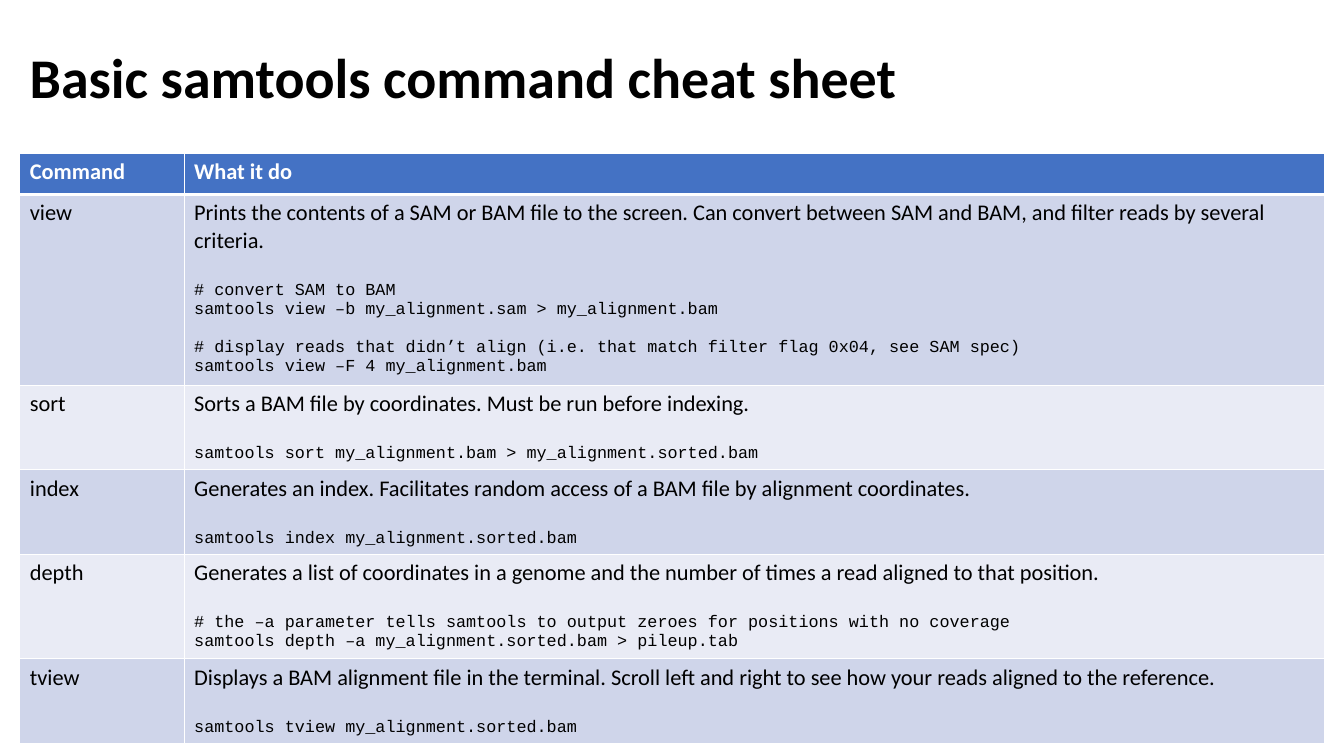
from lxml import etree
from pptx import Presentation
from pptx import util as u
from pptx.dml.color import RGBColor
from pptx.enum import text
from pptx.oxml import ns

THEME = {
    "black": RGBColor.from_string("000000"),
    "white": RGBColor.from_string("FFFFFF"),
    "header": RGBColor.from_string("4472C4"),
    "bands": [RGBColor.from_string("CFD5EA"), RGBColor.from_string("E9EBF5")],
    "body_font": "Calibri",
    "code_font": "Courier New",
    "title_size": 40,
    "body_size": 16,
    "code_size": 12,
    "code_gap": 19.5,
    "block_gap": 13.6,
    "rule": 1,
    "header_rule": 3,
}

COMMANDS = [
    ("view", 4.7,
     "Prints the contents of a SAM or BAM file to the screen. Can convert between "
     "SAM and BAM, and filter reads by several criteria.",
     [["# convert SAM to BAM",
       "samtools view –b my_alignment.sam > my_alignment.bam"],
      ["# display reads that didn’t align (i.e. that match filter flag 0x04, see SAM spec)",
       "samtools view –F 4 my_alignment.bam"]]),
    ("sort", 2.12,
     "Sorts a BAM file by coordinates. Must be run before indexing.",
     [["samtools sort my_alignment.bam > my_alignment.sorted.bam"]]),
    ("index", 2.12,
     "Generates an index. Facilitates random access of a BAM file by alignment coordinates.",
     [["samtools index my_alignment.sorted.bam"]]),
    ("depth", 2.6,
     "Generates a list of coordinates in a genome and the number of times a read "
     "aligned to that position.",
     [["# the –a parameter tells samtools to output zeroes for positions with no coverage",
       "samtools depth –a my_alignment.sorted.bam > pileup.tab"]]),
    ("tview", 2.12,
     "Displays a BAM alignment file in the terminal. Scroll left and right to see how "
     "your reads aligned to the reference.",
     [["samtools tview my_alignment.sorted.bam"]]),
]


def write(paragraph, words, size="body_size", font="body_font", color="black", bold=False):
    run = paragraph.add_run()
    run.text = words
    looks = {"name": THEME[font], "size": u.Pt(THEME[size]), "bold": bold}
    for key, value in looks.items():
        setattr(run.font, key, value)
    run.font.color.rgb = THEME[color]


def dress(cell, fill, top, bottom):
    properties = cell._tc.get_or_add_tcPr()
    sides = {"a:lnL": THEME["rule"], "a:lnR": THEME["rule"], "a:lnT": top, "a:lnB": bottom}
    for side, width in sides.items():
        line = etree.SubElement(properties, ns.qn(side), w=str(u.Pt(width)))
        solid = etree.SubElement(line, ns.qn("a:solidFill"))
        etree.SubElement(solid, ns.qn("a:srgbClr"), val=str(THEME["white"]))
    cell.fill.solid()
    cell.fill.fore_color.rgb = fill


deck = Presentation()
deck.slide_width, deck.slide_height = u.Cm(33.87), u.Cm(19.05)
slide = deck.slides.add_slide(deck.slide_layouts[6])

title = slide.shapes.add_textbox(u.Cm(0.5), u.Cm(0.18), u.Cm(29.21), u.Cm(3.68)).text_frame
title.word_wrap = True
title.vertical_anchor = text.MSO_ANCHOR.MIDDLE
title.paragraphs[0].line_spacing = 0.9
write(title.paragraphs[0], "Basic samtools command cheat sheet", "title_size", bold=True)

heights = [1.03] + [height for _, height, _, _ in COMMANDS]
sheet = slide.shapes.add_table(
    len(heights), 2, u.Cm(0.5), u.Cm(3.87), u.Cm(32.87), u.Cm(sum(heights))).table
for column, width in zip(sheet.columns, [4.14, 28.73]):
    column.width = u.Cm(width)
for row, height in zip(sheet.rows, heights):
    row.height = u.Cm(height)

for heading, label in enumerate(["Command", "What it do"]):
    cell = sheet.cell(0, heading)
    write(cell.text_frame.paragraphs[0], label, color="white", bold=True)
    dress(cell, THEME["header"], THEME["rule"], THEME["header_rule"])

for number, (command, _, description, examples) in enumerate(COMMANDS, 1):
    name, usage = sheet.cell(number, 0), sheet.cell(number, 1)
    write(name.text_frame.paragraphs[0], command)
    write(usage.text_frame.paragraphs[0], description)
    for block, example in enumerate(examples):
        for position, code in enumerate(example):
            paragraph = usage.text_frame.add_paragraph()
            if position == 0:
                paragraph.space_before = u.Pt(THEME["block_gap" if block else "code_gap"])
            write(paragraph, code, "code_size", "code_font")
    top = THEME["header_rule" if number == 1 else "rule"]
    for cell in (name, usage):
        dress(cell, THEME["bands"][(number - 1) % 2], top, THEME["rule"])

deck.save("out.pptx")
